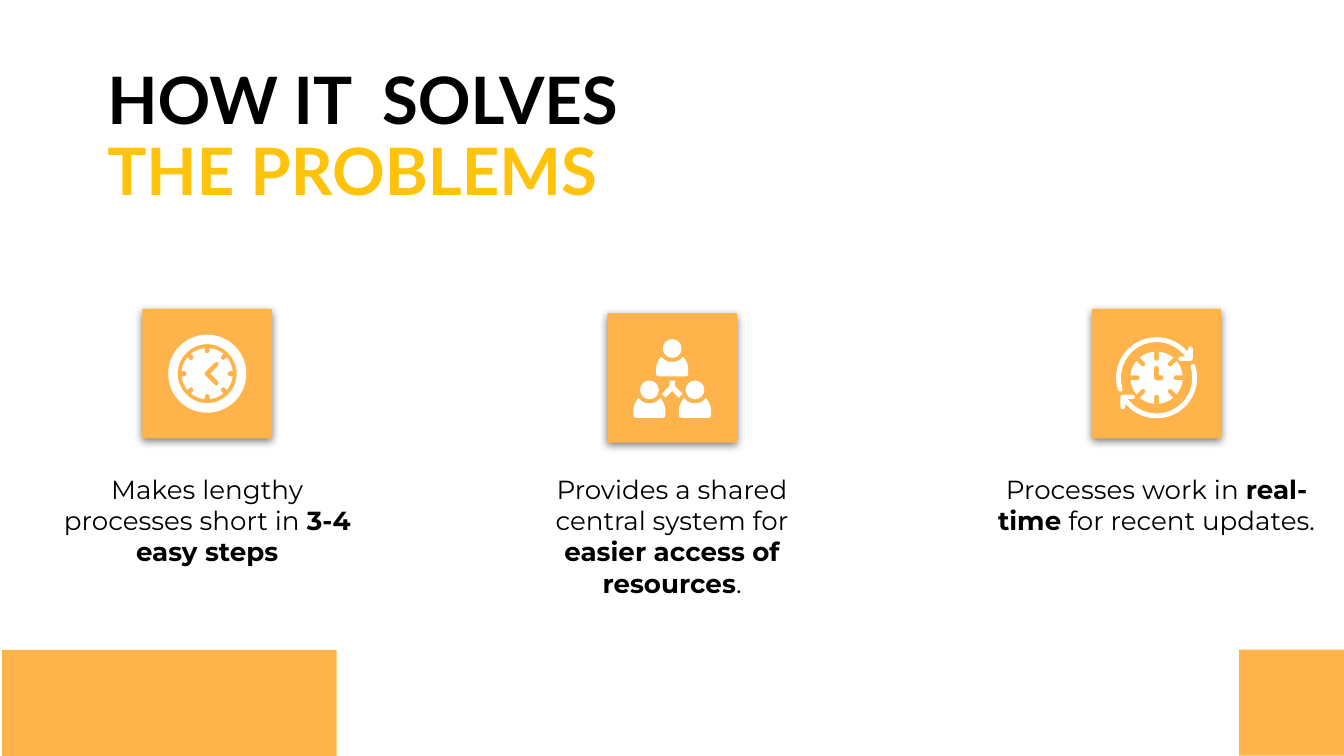
from dataclasses import dataclass
from itertools import islice
from math import cos, radians, sin, tan

from lxml import etree
from pptx import Presentation
from pptx.dml.color import RGBColor
from pptx.enum.shapes import MSO_SHAPE
from pptx.enum.text import MSO_ANCHOR, MSO_AUTO_SIZE, PP_ALIGN
from pptx.oxml import parse_xml
from pptx.oxml.ns import nsdecls, qn
from pptx.util import Pt


@dataclass(frozen=True)
class Theme:
    amber: str = "FFB44B"
    gold: str = "FFC30B"
    black: str = "000000"
    white: str = "FFFFFF"
    head: str = "Lato"
    body: str = "Montserrat"
    big: int = 35
    small: int = 14


THEME = Theme()
TILE = 69.4
SHADOW = (
    f'<a:effectLst {nsdecls("a")}><a:outerShdw blurRad="57150" dist="19050" '
    'dir="5400000" algn="bl" rotWithShape="0"><a:srgbClr val="000000">'
    '<a:alpha val="50000"/></a:srgbClr></a:outerShdw></a:effectLst>'
)
# Outlines around (0, 0): pairs are corners, sixes are cubic curves
TORSO = [
    (-5.8, 4.3), (-7.2, 5.8, -8.6, 8.6, -8.6, 10.8), (-8.6, 13.7),
    (-8.6, 14.4, -7.9, 15, -7.2, 15), (7.2, 15),
    (7.9, 15, 8.6, 14.4, 8.6, 13.7), (8.6, 10.8),
    (8.6, 8.6, 7.2, 5.8, 5.8, 4.3), (4.3, 6.5, 2.2, 7.2, 0, 7.2),
    (-2.2, 7.2, -4.3, 6.5, -5.8, 4.3),
]
FORK = [
    (-1.4, 1.4), (-1.4, 4.3), (-5.6, 8.6), (-4.8, 9, -4.2, 9.7, -3.6, 10.6),
    (0, 7), (3.6, 10.6), (4.2, 9.7, 4.8, 9, 5.6, 8.6), (1.4, 4.3), (1.4, 1.4),
]
ANGLE = [
    (5, -6.5), (6.4, -6.5, 6.6, -4.8, 5.8, -4), (1.8, 0), (5.8, 4),
    (6.6, 4.8, 6.4, 6.5, 5, 6.5), (4.4, 6.5, 4.1, 6, 3.9, 5.8), (-1, 0.9),
    (-1.5, 0.4, -1.5, -0.4, -1, -0.9), (3.9, -5.8), (4.1, -6, 4.4, -6.5, 5, -6.5),
]
HANDS = [
    (0, -6.5), (0.7, -6.5, 1.3, -5.8, 1.3, -5), (1.3, -1.4), (2.5, -1.4),
    (3.2, -1.4, 3.8, -0.8, 3.8, 0), (3.8, 0.8, 3.2, 1.4, 2.5, 1.4), (0, 1.4),
    (-0.8, 1.4, -1.4, 0.8, -1.4, 0), (-1.4, -5), (-1.4, -5.8, -0.8, -6.5, 0, -6.5),
]
BARB = [
    (-13, 11.5), (-11.2, 11.5, -11.2, 9, -13, 9), (-18, 9),
    (-18.8, 9, -19.4, 9.6, -19.4, 10.4), (-19.4, 15.5),
    (-19.4, 17.3, -16.9, 17.3, -16.9, 15.5),
]


def paint(shape, color):
    shape.shadow.inherit = False
    shape.fill.solid()
    shape.fill.fore_color.rgb = RGBColor.from_string(color)
    shape.line.fill.background()
    return shape


def rect(shapes, x, y, w, h):
    box = shapes.add_shape(MSO_SHAPE.RECTANGLE, Pt(x), Pt(y), Pt(w), Pt(h))
    return paint(box, THEME.amber)


def pairs(step):
    return list(zip(step[::2], step[1::2]))


def spin(step, turn):
    """Turn every point of a step about the centre, in degrees."""
    c, s = cos(radians(turn)), sin(radians(turn))
    return tuple(v for x, y in pairs(step) for v in (x * c - y * s, x * s + y * c))


def arc(r, start, stop):
    count = int((abs(stop - start) + 89) // 90)
    part = (stop - start) / count
    k = r * 4 / 3 * tan(radians(part / 4))
    end = spin((r, 0), part)
    curve = (r, k) + spin((r, -k), part) + end
    return [spin((r, 0), start)] + [spin(curve, start + i * part) for i in range(count)]


def dial(r, depth, half):
    """Outline a disc with eight round-ended notches in its rim."""
    base, tip, gap = depth + half, depth - half / 3, half / r * 57.3
    notch = [(base, -half), (tip, -half, tip, half, base, half)]
    steps = []
    for turn in range(0, 360, 45):
        steps += [spin(step, turn) for step in notch]
        steps += arc(r, turn + gap, turn + 45 - gap)
    return steps


def draw(shapes, x, y, *rings):
    """Fill closed outlines placed around (x, y) as one white shape."""
    form, curves = None, []
    for start, *steps in rings:
        spot = Pt(x + start[0]), Pt(y + start[1])
        if form is None:
            form = shapes.build_freeform(*spot)
        else:
            form.move_to(*spot)
        points = [(Pt(x + a), Pt(y + b)) for step in steps for a, b in pairs(step)]
        form.add_line_segments(points, close=False)
        form.add_line_segments([spot], close=True)
        curves += steps + [start]
    shape = paint(form.convert_to_shape(), THEME.white)
    lines = iter(list(shape._element.iter(qn("a:lnTo"))))
    for step in curves:
        group = list(islice(lines, len(step) // 2))
        if len(group) == 3:
            curve = etree.Element(qn("a:cubicBezTo"))
            group[0].addprevious(curve)
            for line in group:
                curve.append(line[0])
                line.getparent().remove(line)


def clock(shapes, x, y):
    draw(shapes, x, y, arc(20.9, 0, 360), arc(15.8, 360, 0))
    draw(shapes, x, y, dial(13.7, 10.9, 1.4), ANGLE)


def team(shapes, x, y):
    for dx, dy in ((0, -15.8), (-12.2, 6.4), (12.2, 6.4)):
        draw(shapes, x + dx, y + dy, arc(5, 0, 360))
        draw(shapes, x + dx, y + dy, TORSO)
    draw(shapes, x, y, FORK)


def cycle(shapes, x, y):
    y += 2.2
    inner, outer = arc(19.1, -17, 144), arc(21.7, 140, -17)
    arrow = inner + BARB + outer + [(20.3, -8.2, 17.7, -7.5) + inner[0]]
    for turn in (0, 180):
        draw(shapes, x, y, [spin(step, turn) for step in arrow])
    draw(shapes, x, y, dial(14, 9, 1.3), HANDS)


def tile(shapes, x, y, icon):
    box = rect(shapes, x, y, TILE, TILE)
    props = box._element.spPr
    props.replace(props.find(qn("a:effectLst")), parse_xml(SHADOW))
    icon(shapes.add_group_shape().shapes, x + TILE / 2, y + TILE / 2)


def text(shapes, place, runs, form, **look):
    """Add a one-paragraph box; each run is (words, bold, color)."""
    frame = shapes.add_textbox(*[Pt(v) for v in place]).text_frame
    pad = {f"margin_{side}": Pt(7.2) for side in ("left", "top", "right", "bottom")}
    pad.update(word_wrap=True, auto_size=MSO_AUTO_SIZE.NONE,
               vertical_anchor=MSO_ANCHOR.TOP)
    para = frame.paragraphs[0]
    for target, values in ((frame, pad), (para, look)):
        for key, value in values.items():
            setattr(target, key, value)
    for words, bold, color in runs:
        run = para.add_run()
        run.text = words
        for key, value in {**form, "bold": bold}.items():
            setattr(run.font, key, value)
        run.font.color.rgb = RGBColor.from_string(color)


def main():
    deck = Presentation()
    deck.slide_width, deck.slide_height = Pt(720), Pt(405)
    shapes = deck.slides.add_slide(deck.slide_layouts[6]).shapes
    rect(shapes, 1, 348.2, 179.4, 56.8)
    rect(shapes, 663.8, 348, 56.2, 56.8)
    title = [("HOW IT  SOLVES ", True, THEME.black), ("THE PROBLEMS", True, THEME.gold)]
    text(shapes, (50.4, 29.5, 288.8, 88.5), title,
         {"name": THEME.head, "size": Pt(THEME.big)}, line_spacing=0.9)
    points = [
        (76.3, 165.5, clock, 25.3, 171.5,
         ["Makes lengthy processes short in ", "3-4 easy steps"]),
        (325.4, 167.8, team, 266.9, 186.3,
         ["Provides a shared central system for ", "easier access of resources", "."]),
        (584.9, 165.5, cycle, 526.5, 186.3,
         ["Processes work in ", "real-time", " for recent updates."]),
    ]
    form = {"name": THEME.body, "size": Pt(THEME.small)}
    for x, y, icon, left, width, parts in points:
        tile(shapes, x, y, icon)
        runs = [(part, i == 1, THEME.black) for i, part in enumerate(parts)]
        text(shapes, (left, 246.2, width, 65.5), runs, form, alignment=PP_ALIGN.CENTER)
    deck.save("out.pptx")


if __name__ == "__main__":
    main()
